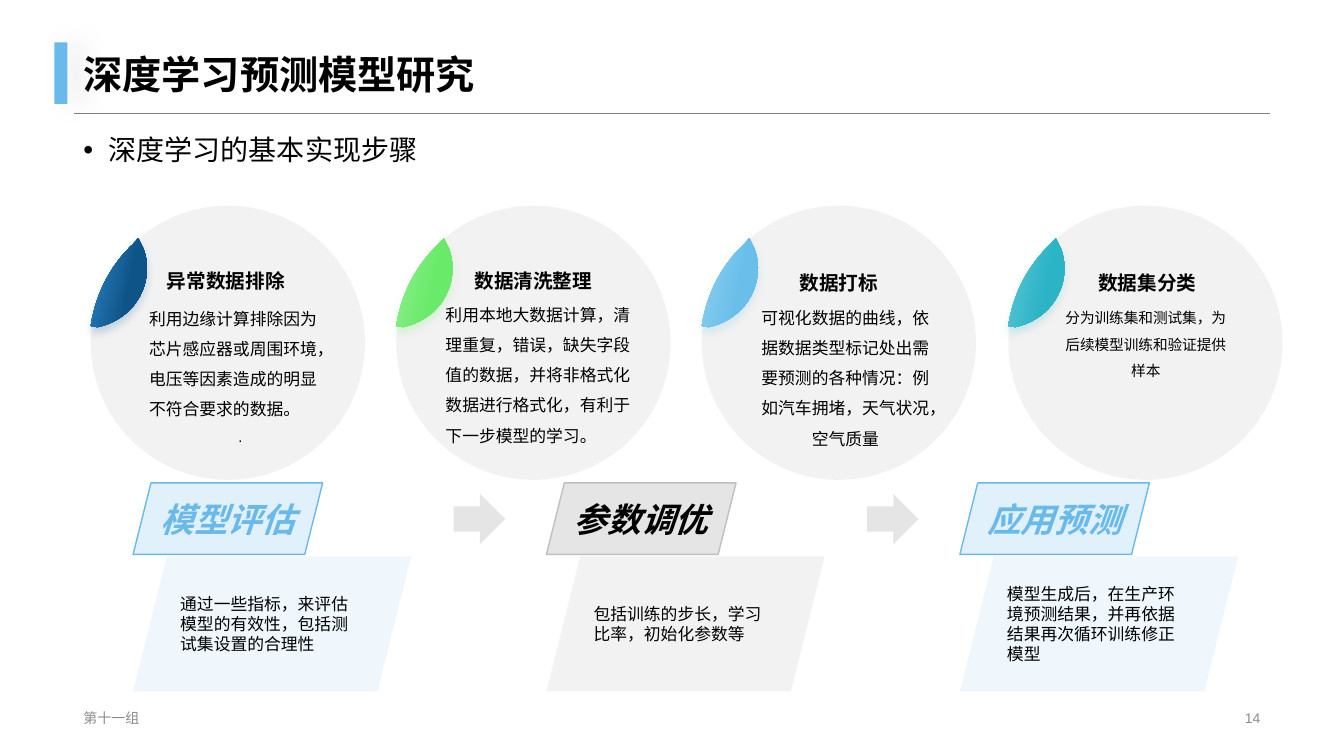
from lxml import etree
from pptx import Presentation
from pptx.dml.color import RGBColor
from pptx.enum.lang import MSO_LANGUAGE_ID as Lang
from pptx.enum.shapes import MSO_CONNECTOR as Connector, MSO_SHAPE as Shape
from pptx.enum.text import MSO_ANCHOR as Anchor, MSO_AUTO_SIZE as AutoSize, PP_ALIGN as Align
from pptx.oxml.ns import qn
from pptx.util import Pt

PX = 9144  # 100 px to the inch
BLUE, GRAY, BLACK, FOOTER_GRAY = "69B9EB", "808080", "000000", "8C8C8C"

# Leaf outline before turning: each segment is one point, or two handles and a point
LEAF_START = (86, 0)
LEAF_SEGMENTS = [
    [(85, 11)],
    [(80, 37), (56, 57), (28, 57)],
    [(20, 57), (13, 56), (5, 53)],
    [(0, 49)],
    [(0, 48)],
    [(21, 24), (48, 8), (79, 2)],
]
LEAF_TURN = 327.7

# Circle left, leaf colours, heading (left, top, text), body (box, size, first alignment, lines)
STAGES = [
    (90, ("3D9FEA", "0F5489"), (135, 250, "异常数据排除"),
     ((138, 291, 201, 155), 12, Align.LEFT,
      ["利用边缘计算排除因为芯片感应器或周围环境，电压等因素造成的明显不符合要求的数据。", "."])),
    (393, ("A5F2A5", "69EA69"), (440, 250, "数据清洗整理"),
     ((432, 287, 205, 158), 12, Align.LEFT,
      ["利用本地大数据计算，清理重复，错误，缺失字段值的数据，并将非格式化数据进行格式化，有利于下一步模型的学习。"])),
    (696, ("A5D9F2", "69BFEA"), (743, 252, "数据打标"),
     ((743, 290, 191, 158), 12, Align.CENTER,
      ["可视化数据的曲线，依据数据类型标记处出需要预测的各种情况：例如汽车拥堵，天气状况，空气质量"])),
    (1000, ("7AD5E2", "2BB3C6"), (1049, 252, "数据集分类"),
     ((1041, 293, 191, 86), 10.5, Align.CENTER,
      ["分为训练集和测试集，为后续模型训练和验证提供样本"])),
]

# Label, fill, outline, label colour, explanation
STEPS = [
    ("模型评估", BLUE, BLUE, BLUE, "通过一些指标，来评估模型的有效性，包括测试集设置的合理性"),
    ("参数调优", GRAY, "BFBFBF", BLACK, "包括训练的步长，学习比率，初始化参数等"),
    ("应用预测", BLUE, BLUE, BLUE, "模型生成后，在生产环境预测结果，并再依据结果再次循环训练修正模型"),
]
STEP_LEFT, STEP_PITCH = 132, 410


def rgb(color):
    return RGBColor.from_string(color)


def emu(*lengths):
    return [length * PX for length in lengths]


def style(paragraph, size, color=BLACK, bold=False, italic=False, align=None, spacing=None):
    paragraph.alignment = align
    paragraph.line_spacing = spacing
    for run in paragraph.runs:
        font = run.font
        font.name, font.size, font.bold, font.italic = "Arial", Pt(size), bold, italic
        font.color.rgb = rgb(color)
        font.language_id = Lang.SIMPLIFIED_CHINESE


def add_text(slide, box, text, size, anchor=Anchor.TOP, grow=False, **look):
    frame = slide.shapes.add_textbox(*emu(*box)).text_frame
    frame.word_wrap = True
    frame.vertical_anchor = anchor
    frame.auto_size = AutoSize.SHAPE_TO_FIT_TEXT if grow else AutoSize.NONE
    frame.text = text
    for paragraph in frame.paragraphs:
        style(paragraph, size, **look)
    return frame


def add_block(slide, kind, box, color, opacity=100, outline=None):
    block = slide.shapes.add_shape(kind, *emu(*box))
    block.shadow.inherit = False
    block.fill.solid()
    block.fill.fore_color.rgb = rgb(color)
    if opacity < 100:
        tint = block.fill._xPr.find(".//" + qn("a:srgbClr"))
        etree.SubElement(tint, qn("a:alpha"), val=str(opacity * 1000))
    if outline:
        block.line.color.rgb = rgb(outline)
        block.line.width = Pt(1)
    else:
        block.line.fill.background()
    return block


def add_shadow(shape, color, opacity, blur, distance, angle):
    shape.shadow.inherit = False
    effects = shape._element.spPr.find(qn("a:effectLst"))
    outer = etree.SubElement(effects, qn("a:outerShdw"), blurRad=str(Pt(blur)),
                             dist=str(Pt(distance)), dir=str(angle * 60000), rotWithShape="0")
    tint = etree.SubElement(outer, qn("a:srgbClr"), val=color)
    etree.SubElement(tint, qn("a:alpha"), val=str(opacity * 1000))


def bend_segments(shape, segments):
    """Turn the straight segments that have handles into cubic curves."""
    straight_lines = list(shape._element.iter(qn("a:lnTo")))
    for line, points in zip(straight_lines, segments):
        if len(points) == 3:
            curve = etree.Element(qn("a:cubicBezTo"))
            for x, y in points:
                etree.SubElement(curve, qn("a:pt"), x=str(x), y=str(y))
            line.getparent().replace(line, curve)


def add_leaf(slide, left, top, colors):
    builder = slide.shapes.build_freeform(*LEAF_START, scale=PX)
    builder.add_line_segments([points[-1] for points in LEAF_SEGMENTS], close=True)
    leaf = builder.convert_to_shape(*emu(left, top))
    bend_segments(leaf, LEAF_SEGMENTS)
    leaf.rotation = LEAF_TURN
    leaf.line.fill.background()
    leaf.fill.gradient()
    leaf.fill.gradient_angle = 315
    for stop, position, color in zip(leaf.fill.gradient_stops, (0, 0.6), colors):
        stop.position = position
        stop.color.rgb = rgb(color)
    add_shadow(leaf, colors[1], 20, 6, 4, 90)


def add_stage(slide, left, leaf_colors, heading, body):
    add_block(slide, Shape.OVAL, (left, 204, 272, 272), "0D0D0D", 5)
    add_leaf(slide, left - 17, 255, leaf_colors)
    heading_left, heading_top, title = heading
    add_text(slide, (heading_left, heading_top, 178, 41), title, 14, grow=True,
             bold=True, align=Align.CENTER, spacing=1.5)
    box, size, align, lines = body
    frame = add_text(slide, box, "\n".join(lines), size, grow=True, align=align, spacing=1.5)
    for paragraph in frame.paragraphs[1:]:
        style(paragraph, 10.5, align=Align.CENTER, spacing=1.5)


def add_step(slide, left, label, color, outline, label_color, explanation):
    panel = add_block(slide, Shape.PARALLELOGRAM, (left, 552, 276, 134), color, 10)
    tag = add_block(slide, Shape.PARALLELOGRAM, (left, 479, 188, 71), color, 20, outline)
    for shape, text in ((panel, explanation), (tag, label)):
        shape.text_frame.text = text
        shape.text_frame.vertical_anchor = Anchor.MIDDLE
        shape.text_frame.word_wrap = shape is panel
    style(panel.text_frame.paragraphs[0], 12, align=Align.LEFT)
    style(tag.text_frame.paragraphs[0], 24, label_color, True, True, Align.CENTER)


def add_header(slide):
    rule = slide.shapes.add_connector(Connector.STRAIGHT, *emu(73, 112, 1260, 112))
    rule.line.color.rgb = rgb(GRAY)
    rule.line.width = Pt(0.25)
    etree.SubElement(rule._element.spPr, qn("a:effectLst"))
    accent = add_block(slide, Shape.RECTANGLE, (54, 42, 13, 61), BLUE)
    add_shadow(accent, "262626", 10, 20, 10, 0)
    add_text(slide, (73, -10, 1187, 112), "深度学习预测模型研究", 28, Anchor.BOTTOM,
             bold=True, spacing=0.9)


def add_subtitle(slide):
    frame = add_text(slide, (73, 130, 1174, 549), "深度学习的基本实现步骤", 20, spacing=0.9)
    properties = frame.paragraphs[0]._p.get_or_add_pPr()
    indent = 25 * PX
    properties.set("marL", str(indent))
    properties.set("indent", str(-indent))
    etree.SubElement(properties, qn("a:buFont"), typeface="Arial")
    etree.SubElement(properties, qn("a:buChar"), char="•")


def add_footer(slide):
    add_text(slide, (73, 701, 453, 23), "第十一组", 10, Anchor.MIDDLE, color=FOOTER_GRAY)
    add_text(slide, (942, 701, 318, 23), "14", 10, Anchor.MIDDLE, color=FOOTER_GRAY,
             align=Align.RIGHT)


def main():
    deck = Presentation()
    deck.slide_width, deck.slide_height = emu(1333, 750)
    slide = deck.slides.add_slide(deck.slide_layouts[6])

    # Title, subtitle and footer
    add_header(slide)
    add_footer(slide)
    add_subtitle(slide)

    # Data preparation circles
    for stage in STAGES:
        add_stage(slide, *stage)

    # Model steps, with an arrow between neighbours
    for i, step in enumerate(STEPS):
        left = STEP_LEFT + i * STEP_PITCH
        add_step(slide, left, *step)
        if i < len(STEPS) - 1:
            add_block(slide, Shape.RIGHT_ARROW, (left + 318, 490, 51, 50), GRAY, 20)

    deck.save("out.pptx")


if __name__ == "__main__":
    main()
